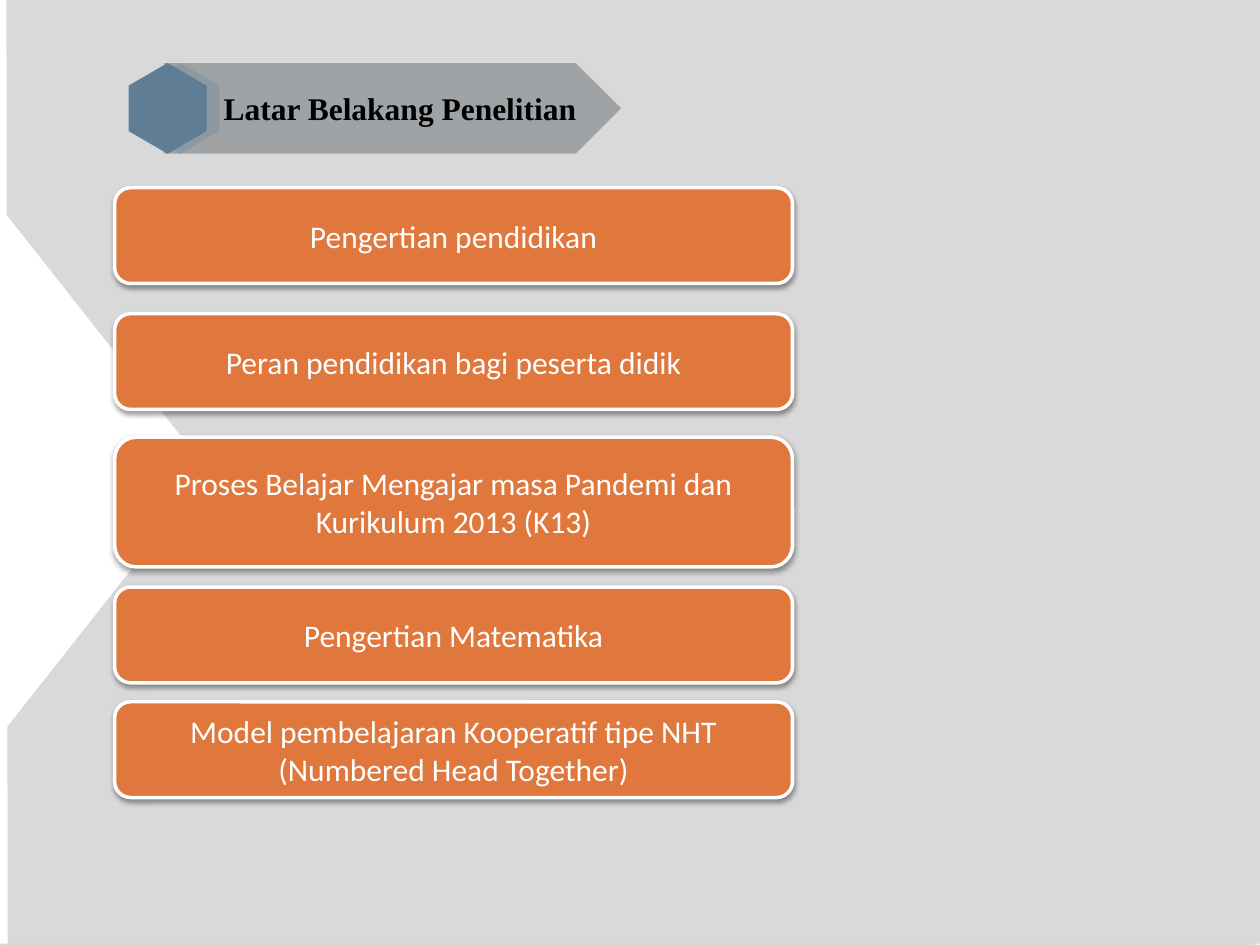
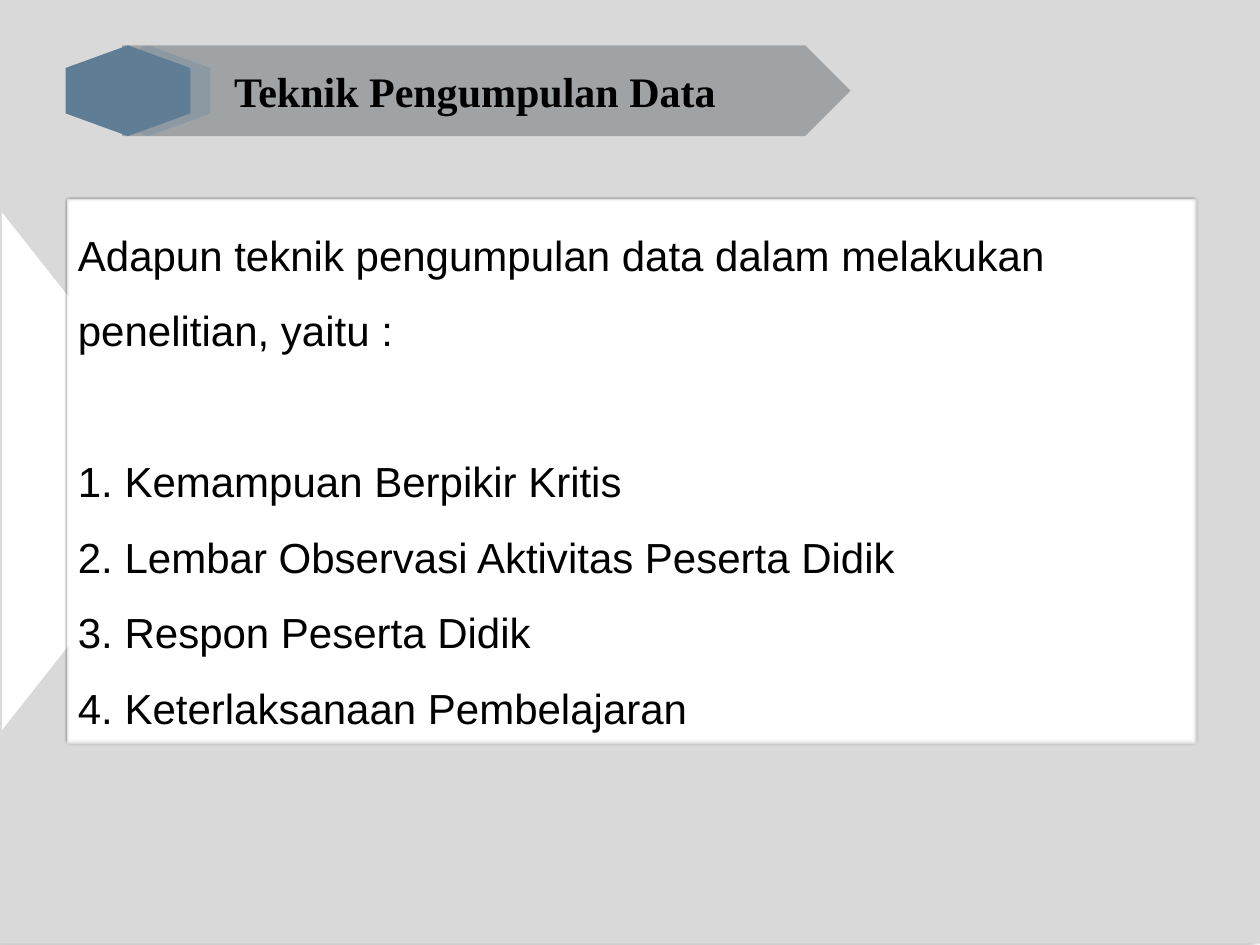
from dataclasses import dataclass

from lxml import etree
from pptx import Presentation
from pptx.dml.color import RGBColor
from pptx.enum.shapes import MSO_CONNECTOR, MSO_SHAPE
from pptx.enum.text import MSO_ANCHOR, PP_ALIGN
from pptx.oxml.ns import qn
from pptx.util import Inches, Pt

RECTANGLE = MSO_SHAPE.RECTANGLE
ROUNDED = MSO_SHAPE.ROUNDED_RECTANGLE
TRIANGLE = MSO_SHAPE.ISOSCELES_TRIANGLE
PENTAGON = MSO_SHAPE.PENTAGON
STRAIGHT = MSO_CONNECTOR.STRAIGHT
LEFT, CENTER = PP_ALIGN.LEFT, PP_ALIGN.CENTER
TOP, MIDDLE = MSO_ANCHOR.TOP, MSO_ANCHOR.MIDDLE


@dataclass(frozen=True)
class Theme:
    backdrop: str = "D9D9D9"
    white: str = "FFFFFF"
    black: str = "000000"
    band: str = "444F56"
    band_alpha: int = 39
    hexagon: str = "5F7D95"
    chevron: str = "BAC8D3"
    card: str = "E0773C"
    title_font: str = "Times New Roman"
    card_font: str = "Calibri"
    body_font: str = "Arial"
    card_size: int = 18
    body_size: int = 24


theme = Theme()
deck = Presentation()
deck.slide_width, deck.slide_height = Inches(10), Inches(7.5)
COLUMNS, ROWS = 100, 75
column = deck.slide_width / COLUMNS
row = deck.slide_height / ROWS


def finish(shape, fill, line=None, shadow=None):
    shape.fill.solid()
    shape.fill.fore_color.rgb = RGBColor.from_string(fill)
    if line:
        shape.line.color.rgb = RGBColor.from_string(line[0])
        shape.line.width = Pt(line[1])
    else:
        shape.line.fill.background()
    shape.shadow.inherit = False
    if shadow:
        alpha, blur, distance, angle = shadow
        effects = shape._element.spPr.find(qn("a:effectLst"))
        outer = etree.SubElement(effects, qn("a:outerShdw"), blurRad=str(Pt(blur)),
                                 dist=str(Pt(distance)), dir=str(angle * 60000), rotWithShape="0")
        color = etree.SubElement(outer, qn("a:srgbClr"), val=theme.black)
        etree.SubElement(color, qn("a:alpha"), val=str(alpha * 1000))


def write(para, text, font, size, color, align, bold=False):
    para.alignment = align
    span = para.add_run()
    span.text = text
    span.font.name, span.font.size, span.font.bold = font, Pt(size), bold
    span.font.color.rgb = RGBColor.from_string(color)


headings = [
    dict(text="Latar Belakang Penelitian", size=18, align=LEFT, inset=4.75, page_left=0.2,
         triangle_left=-12.1, band=(13, 5, 36.3), hexagon=(10.2, 6.2), shift=1, thickness=1.3),
    dict(text="Teknik Pengumpulan Data", size=24, align=CENTER, inset=1, page_left=0,
         triangle_left=-12.3, band=(9.7, 3.6, 57.8), hexagon=(5.2, 9.9), shift=1.6, thickness=2),
]
BAND_HEIGHT = 7.2

pages = []
for heading in headings:
    page = deck.slides.add_slide(deck.slide_layouts[6])
    pages.append(page)
    backdrop = page.shapes.add_shape(RECTANGLE, int(heading["page_left"] * column), int(-0.1 * row),
                                     deck.slide_width, deck.slide_height)
    finish(backdrop, theme.backdrop, shadow=(40, 4, 3, 180))
    notch = page.shapes.add_shape(TRIANGLE, int(heading["triangle_left"] * column), int(29.3 * row),
                                  int(41.1 * column), int(16.2 * row))
    notch.rotation = 90
    finish(notch, theme.white)

    left, top, width = heading["band"]
    bottom = top + BAND_HEIGHT
    upper, lower = top + BAND_HEIGHT / 4, bottom - BAND_HEIGHT / 4
    start, span_width = heading["hexagon"]
    peak, end = start + span_width / 2, start + span_width
    far_peak, far_end = peak + heading["shift"], end + heading["shift"]
    half = heading["thickness"] / 2
    drop = half * (upper - top) / (peak - start)
    near_end = far_end - heading["thickness"]
    chevron = [(far_peak - half, top + drop), (far_peak, top), (far_end, upper), (far_end, lower),
               (far_peak, bottom), (far_peak - half, bottom - drop), (near_end, lower), (near_end, upper)]
    hexagon = [(start, upper), (peak, top), (end, upper), (end, lower), (peak, bottom), (start, lower)]

    for outline, color in ((chevron, theme.chevron), (hexagon, theme.hexagon)):
        points = [(int(x * column), int(y * row)) for x, y in outline]
        builder = page.shapes.build_freeform(*points[0])
        builder.add_line_segments(points[1:], close=True)
        finish(builder.convert_to_shape(), color)
        if outline is chevron:
            band = page.shapes.add_shape(PENTAGON, int(left * column), int(top * row),
                                         int(width * column), int(BAND_HEIGHT * row))
            finish(band, theme.band)
            tint = band._element.spPr.find(qn("a:solidFill")).find(qn("a:srgbClr"))
            etree.SubElement(tint, qn("a:alpha"), val=str(theme.band_alpha * 1000))
            band.text_frame.word_wrap = True
            band.text_frame.vertical_anchor = MIDDLE
            band.text_frame.margin_left = int(heading["inset"] * column)
            write(band.text_frame.paragraphs[0], heading["text"], theme.title_font,
                  heading["size"], theme.black, heading["align"], bold=True)

background_page, technique_page = pages

edge = background_page.shapes.add_connector(STRAIGHT, int(0.2 * column), int(-0.1 * row),
                                            int(0.3 * column), int(74.9 * row))
edge.line.color.rgb = RGBColor.from_string(theme.white)
edge.line.width = Pt(4.5)
etree.SubElement(edge._element.spPr, qn("a:effectLst"))

cards = [
    (14.9, 7.6, ["Pengertian pendidikan"]),
    (24.9, 7.6, ["Peran pendidikan bagi peserta didik"]),
    (34.7, 10.3, ["Proses Belajar Mengajar masa Pandemi dan Kurikulum 2013 (K13)"]),
    (46.6, 7.6, ["Pengertian Matematika"]),
    (55.7, 7.6, ["Model pembelajaran Kooperatif tipe NHT", "(Numbered Head Together)"]),
]
for top, height, lines in cards:
    card = background_page.shapes.add_shape(ROUNDED, int(9.1 * column), int(top * row),
                                            int(53.8 * column), int(height * row))
    finish(card, theme.card, line=(theme.white, 2), shadow=(38, 3.1, 1.6, 90))
    frame = card.text_frame
    frame.word_wrap = True
    frame.vertical_anchor = MIDDLE
    for index, text in enumerate(lines):
        para = frame.add_paragraph() if index else frame.paragraphs[0]
        write(para, text, theme.card_font, theme.card_size, theme.white, CENTER)

techniques = ["Kemampuan Berpikir Kritis", "Lembar Observasi Aktivitas Peserta Didik",
              "Respon Peserta Didik", "Keterlaksanaan Pembelajaran"]
box = technique_page.shapes.add_shape(RECTANGLE, int(5.2 * column), int(15.7 * row),
                                      int(89.8 * column), int(43.4 * row))
finish(box, theme.white, line=(theme.black, 1.25))
etree.SubElement(box._element.spPr.find(qn("a:effectLst")), qn("a:softEdge"), rad=str(Pt(1)))
frame = box.text_frame
frame.word_wrap = True
frame.vertical_anchor = TOP
intro = frame.paragraphs[0]
intro.line_spacing = 1.5
write(intro, "Adapun teknik pengumpulan data dalam melakukan penelitian, yaitu :",
      theme.body_font, theme.body_size, theme.black, LEFT)
for number, technique in enumerate(techniques, 1):
    para = frame.add_paragraph()
    para.line_spacing = 1.5
    if number == 1:
        para.space_before = Pt(43)
    write(para, f"{number}. {technique}", theme.body_font, theme.body_size, theme.black, LEFT)

deck.save("out.pptx")
